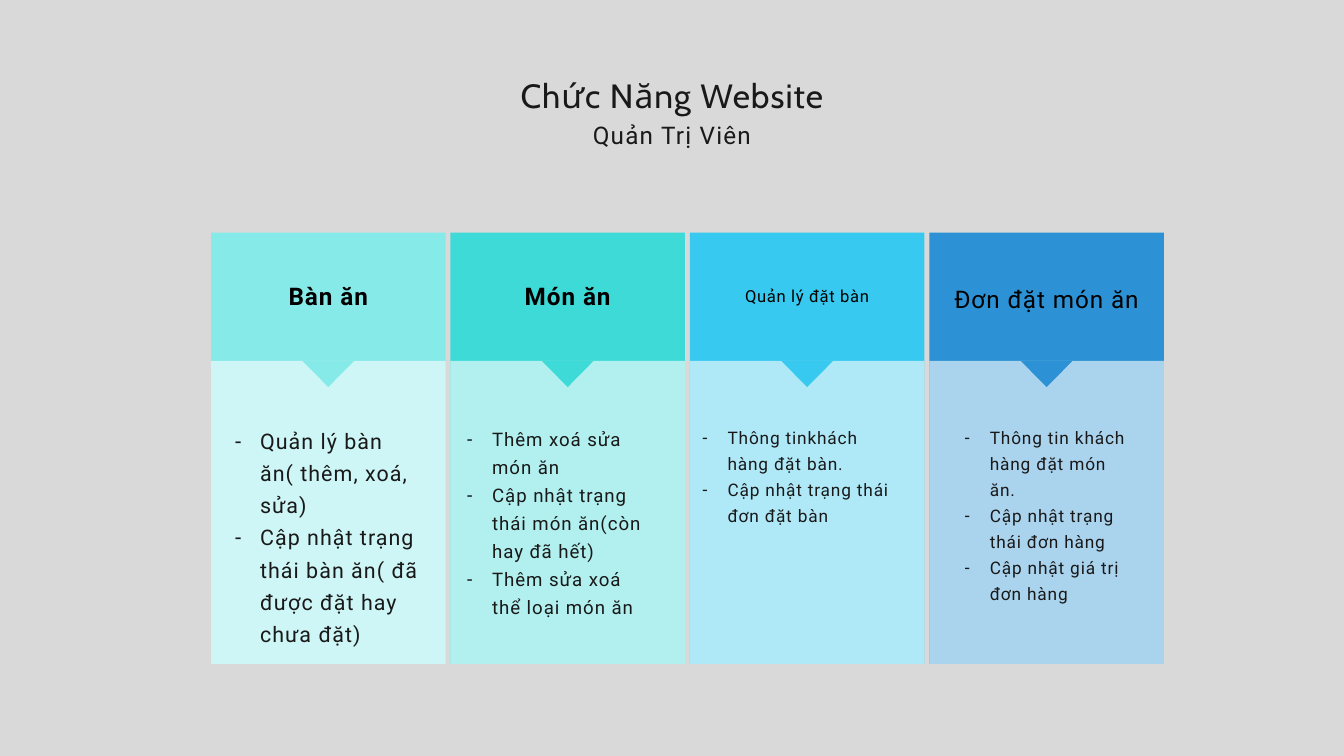
from dataclasses import dataclass

from lxml.etree import SubElement as Sub
from pptx import Presentation
from pptx.dml.color import RGBColor as RGB
from pptx.enum.text import MSO_ANCHOR as Anchor, MSO_AUTO_SIZE as Auto, PP_ALIGN as Align
from pptx.enum.shapes import MSO_SHAPE as Shape
from pptx.oxml.ns import qn
from pptx.util import Inches, Pt

TITLE = "Chức Năng Website"
ROLE = "Quản Trị Viên"

# head: size, line pitch, tracking, bold, top, width
# list: size, line pitch, tracking, left inset, top, width
CARDS = [
    dict(fill="86EAE9", name="Bàn ăn", head=(26, 33.5, 1, True, 4.16, 2.79),
         body=(23, 34.5, 1.1, 0.35, 6.27, 2.94),
         items=["Quản lý bàn ăn( thêm, xoá, sửa)",
                "Cập nhật trạng thái bàn ăn( đã được đặt hay chưa đặt)"]),
    dict(fill="3EDAD8", name="Món ăn", head=(26, 33.5, 1, True, 4.16, 2.79),
         body=(20, 30, 1, 0.24, 6.29, 2.8),
         items=["Thêm xoá sửa món ăn",
                "Cập nhật trạng thái món ăn(còn hay đã hết)",
                "Thêm sửa xoá thể loại món ăn"]),
    dict(fill="37C9EF", name="Quản lý đặt bàn", head=(17.8, 22.9, 0.7, False, 4.24, 2.79),
         body=(18.5, 27.8, 0.9, 0.18, 6.28, 2.97),
         items=["Thông tinkhách hàng đặt bàn.",
                "Cập nhật trạng thái đơn đặt bàn"]),
    dict(fill="2C92D5", name="Đơn đặt món ăn", head=(26, 33.5, 1, False, 4.2, 3.14),
         body=(18.5, 27.8, 0.9, 0.52, 6.28, 2.45),
         items=["Thông tin khách hàng đặt món ăn.",
                "Cập nhật trạng thái đơn hàng",
                "Cập nhật giá trị đơn hàng"]),
]


@dataclass(frozen=True)
class Theme:
    back: str = "D9D9D9"
    ink: str = "191919"
    head: str = "000000"
    veil: str = "FFFFFF"
    veil_pct: int = 60
    title_font: str = "Cabin"
    font: str = "Roboto"
    title: tuple = (36, 47.2, 1.1)
    role: tuple = (26, 36.4, 1.3)


LOOK = Theme()
WIDE, HIGH = 20, 11.25
LEFT, RIGHT, TOP, BASE = 3.14, 17.32, 3.46, 9.88
CARD, FOLD = 3.49, 5.37
STEP = (RIGHT - LEFT - CARD) / (len(CARDS) - 1)
TIP, DROP = 0.385, 0.39
HANG = 0.38


def assign(obj, **vals):
    for key, val in vals.items():
        setattr(obj, key, val)


def place(box, x, y, w, h):
    assign(box, left=Inches(x), top=Inches(y), width=Inches(w), height=Inches(h))


def write(box, lines, style, ink, font=LOOK.font, bold=False, dash=False):
    size, pitch, track = style
    frame = box.text_frame
    assign(frame, word_wrap=True, auto_size=Auto.NONE, vertical_anchor=Anchor.TOP,
           margin_left=0, margin_right=0, margin_top=0, margin_bottom=0)
    for n, line in enumerate(lines):
        para = frame.add_paragraph() if n else frame.paragraphs[0]
        assign(para, alignment=Align.LEFT if dash else Align.CENTER,
               line_spacing=Pt(pitch), space_before=Pt(0), space_after=Pt(0))
        run = para.add_run()
        run.text = line
        assign(run.font, name=font, size=Pt(size), bold=bold)
        run.font.color.rgb = RGB.from_string(ink)
        run._r.get_or_add_rPr().set("spc", str(round(track * 100)))
        if dash:
            props = para._p.get_or_add_pPr()
            props.set("marL", str(Inches(HANG)))
            props.set("indent", str(-Inches(HANG)))
            Sub(props, qn("a:buChar")).set("char", "-")


def paint(shape, color):
    shape.shadow.inherit = False
    shape.fill.solid()
    shape.fill.fore_color.rgb = RGB.from_string(color)
    shape.line.fill.background()


def block(shapes, x, y, h, color):
    rect = shapes.add_shape(Shape.RECTANGLE, *map(Inches, (x, y, CARD, h)))
    paint(rect, color)
    return rect


def add_card(shapes, card, x, holder):
    mid = x + CARD / 2
    block(shapes, x, TOP, BASE - TOP, card["fill"])
    veil = block(shapes, x, FOLD, BASE - FOLD, LOOK.veil)
    tint = veil._element.spPr.find(".//" + qn("a:srgbClr"))
    Sub(tint, qn("a:alpha")).set("val", str(LOOK.veil_pct * 1000))

    path = shapes.build_freeform(Inches(mid - TIP), Inches(FOLD))
    path.add_line_segments([(Inches(mid + TIP), Inches(FOLD)),
                            (Inches(mid), Inches(FOLD + DROP))])
    paint(path.convert_to_shape(), card["fill"])

    *style, bold, y, w = card["head"]
    head = shapes.add_textbox(0, 0, 0, 0)
    place(head, mid - w / 2, y, w, 0.44)
    write(head, [card["name"]], style, LOOK.head, bold=bold)

    *style, inset, y, w = card["body"]
    place(holder, x + inset, y, w, BASE - y - 0.2)
    write(holder, card["items"], style, LOOK.ink, dash=True)
    shapes._spTree.append(holder._element)  # bring above the card


def main():
    deck = Presentation()
    assign(deck, slide_width=Inches(WIDE), slide_height=Inches(HIGH))
    slide = deck.slides.add_slide(deck.slide_layouts.get_by_name("Comparison"))
    fill = slide.background.fill
    fill.solid()
    fill.fore_color.rgb = RGB.from_string(LOOK.back)

    shapes = slide.shapes
    title, *lists = list(slide.placeholders)
    band = 9.22
    place(title, (WIDE - band) / 2, 1.06, band, 0.63)
    write(title, [TITLE], LOOK.title, LOOK.ink, LOOK.title_font)
    role = shapes.add_textbox(0, 0, 0, 0)
    place(role, (WIDE - band) / 2, 1.72, band, 0.46)
    write(role, [ROLE], LOOK.role, LOOK.ink)

    for n, (card, holder) in enumerate(zip(CARDS, lists)):
        add_card(shapes, card, LEFT + n * STEP, holder)
    deck.save("out.pptx")


if __name__ == "__main__":
    main()
